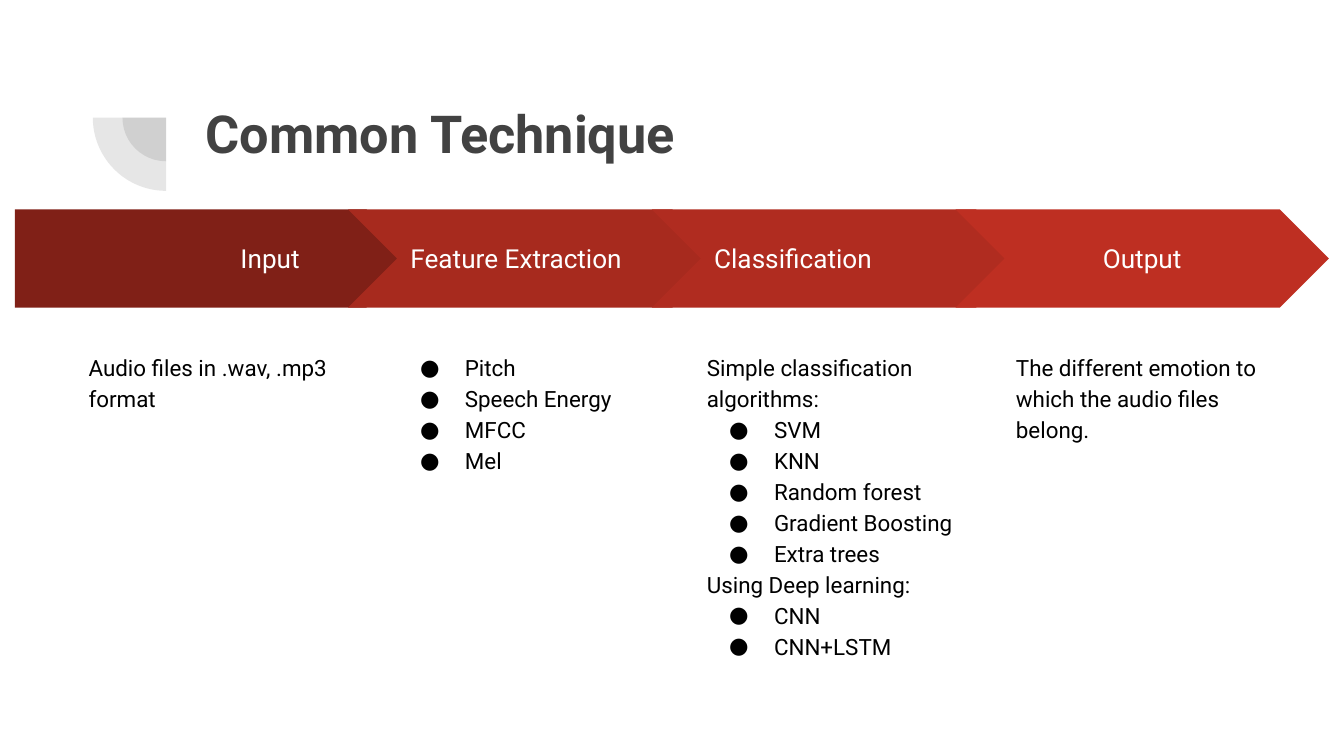
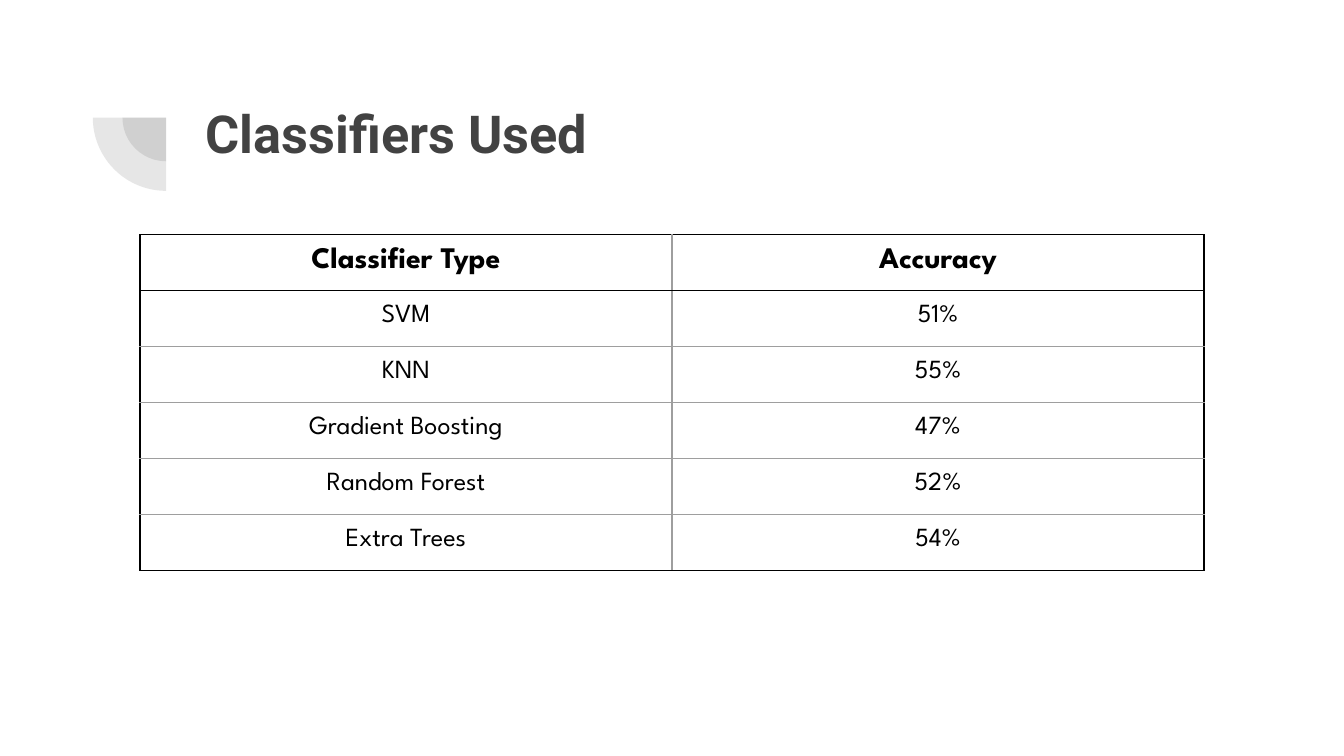
from lxml.etree import SubElement
from pptx import Presentation
from pptx.dml.color import RGBColor
from pptx.enum.shapes import MSO_SHAPE as Shape
from pptx.enum.text import MSO_ANCHOR as Anchor, MSO_AUTO_SIZE as AutoSize, PP_ALIGN as Align
from pptx.oxml.ns import qn
from pptx.util import Pt

COLORS = {
    "title": "424242", "text": "000000", "light": "FFFFFF", "grid": "9E9E9E",
    "input": "802017", "features": "A72A1E", "classify": "B02C20", "output": "BE2F22",
}
INSET = 7.2
BULLET = "● "

# label, colour, alignment, description
STEPS = [
    ("Input", "input", Align.CENTER, ["Audio files in .wav, .mp3 format"]),
    ("Feature Extraction", "features", Align.LEFT,
     ["● Pitch", "● Speech Energy", "● MFCC", "● Mel"]),
    ("Classification", "classify", Align.LEFT,
     ["Simple classification algorithms:", "● SVM", "● KNN", "● Random forest",
      "● Gradient Boosting", "● Extra trees", "Using Deep learning:", "● CNN", "● CNN+LSTM"]),
    ("Output", "output", Align.CENTER,
     ["The different emotion to which the audio files belong."]),
]
RESULTS = [
    ("Classifier Type", "Accuracy"), ("SVM", "51%"), ("KNN", "55%"),
    ("Gradient Boosting", "47%"), ("Random Forest", "52%"), ("Extra Trees", "54%"),
]


class SlideWriter:
    def __init__(self, deck):
        self.deck = deck
        self.page = None

    def new_page(self, title):
        self.page = self.deck.slides.add_slide(self.deck.slide_layouts[5])
        for size in (46.8, 78.5):
            self.quarter(89, 63, size)
        box = self.page.shapes.title
        box.left, box.top, box.width, box.height = Pt(103), Pt(46.8), Pt(553.7), Pt(78.5)
        frame = self.frame(box, Anchor.TOP)
        self.span(frame.paragraphs[0], title, 28, "title", bold=True)

    def frame(self, box, anchor):
        frame = box.text_frame
        frame.word_wrap = True
        frame.auto_size = AutoSize.NONE
        frame.vertical_anchor = anchor
        frame.margin_left = frame.margin_right = Pt(INSET)
        frame.margin_top = frame.margin_bottom = Pt(INSET)
        return frame

    def span(self, para, text, size, color, align=Align.LEFT, font="Roboto", bold=False):
        para.alignment = align
        span = para.add_run()
        span.text = text
        span.font.name = font
        span.font.size = Pt(size)
        span.font.bold = bold
        span.font.color.rgb = RGBColor.from_string(COLORS[color])

    def indent(self, para, left, first=0):
        props = para._p.get_or_add_pPr()
        props.set("marL", str(Pt(left)))
        props.set("indent", str(Pt(first)))
        return props

    def shape(self, kind, left, top, width, height, color):
        shape = self.page.shapes.add_shape(kind, Pt(left), Pt(top), Pt(width), Pt(height))
        shape.shadow.inherit = False
        shape.fill.solid()
        shape.fill.fore_color.rgb = RGBColor.from_string(COLORS[color])
        shape.line.fill.background()
        return shape

    def quarter(self, center_x, center_y, size):
        """Draw a translucent lower-left quarter of a disc."""
        pie = self.shape(Shape.PIE, center_x - size / 2, center_y - size / 2, size, size, "title")
        pie.rotation = 270
        pie.adjustments[0], pie.adjustments[1] = 108, 162
        color = pie._element.spPr.find(qn("a:solidFill"))[0]
        SubElement(color, qn("a:alpha"), val="13000")

    def arrow(self, kind, left, width, label, color, align, indent=0):
        arrow = self.shape(kind, left, 112.2, width, 52.6, color)
        arrow.adjustments[0] = 0.5
        para = self.frame(arrow, Anchor.MIDDLE).paragraphs[0]
        self.span(para, label, 14, "light", align)
        self.indent(para, indent)

    def description(self, left, lines):
        """Write lines in a column; those that start with a bullet become list items."""
        box = self.page.shapes.add_textbox(Pt(left), Pt(180.6), Pt(150), Pt(206))
        frame = self.frame(box, Anchor.TOP)
        for number, line in enumerate(lines):
            para = frame.add_paragraph() if number else frame.paragraphs[0]
            para.line_spacing = 1.15
            self.span(para, line.removeprefix(BULLET), 12, "text")
            if line.startswith(BULLET):
                props = self.indent(para, 36, -24)
                color = SubElement(props, qn("a:buClr"))
                SubElement(color, qn("a:srgbClr"), val=COLORS["text"])
                SubElement(props, qn("a:buFont"), typeface="Roboto")
                SubElement(props, qn("a:buChar"), char=BULLET.strip())

    def border(self, cell, side, color):
        line = SubElement(cell._tc.get_or_add_tcPr(), qn(f"a:ln{side}"), w=str(Pt(0.75)))
        fill = SubElement(line, qn("a:solidFill"))
        SubElement(fill, qn("a:srgbClr"), val=COLORS[color])

    def table(self, left, top, column_width, row_height, rows):
        last_row, last_column = len(rows) - 1, len(rows[0]) - 1
        table = self.page.shapes.add_table(
            len(rows), len(rows[0]), Pt(left), Pt(top),
            Pt(column_width * len(rows[0])), Pt(row_height * len(rows))).table
        table.first_row = table.horz_banding = False
        for column in table.columns:
            column.width = Pt(column_width)
        for r, row in enumerate(rows):
            table.rows[r].height = Pt(row_height)
            for c, text in enumerate(row):
                cell = table.cell(r, c)
                cell.margin_left = cell.margin_right = Pt(INSET)
                cell.margin_top = cell.margin_bottom = Pt(INSET)
                dark = {"L": c == 0, "R": c == last_column,
                        "T": r <= 1, "B": r in (0, last_row)}
                for side, is_dark in dark.items():
                    self.border(cell, side, "text" if is_dark else "grid")
                cell.fill.background()
                self.span(cell.text_frame.paragraphs[0], text, 14 if r else 16, "text",
                          Align.CENTER, "League Spartan", bold=r == 0)


def main():
    deck = Presentation()
    deck.slide_width, deck.slide_height = Pt(720), Pt(405)
    writer = SlideWriter(deck)

    writer.new_page("Common Technique")
    for number, (label, color, align, lines) in enumerate(STEPS):
        if number == 0:
            writer.arrow(Shape.PENTAGON, 8, 214.6, label, color, align, indent=72)
        else:
            writer.arrow(Shape.CHEVRON, 23.8 + 162.7 * number, 200, label, color, align)
        writer.description(40.4 + 165.6 * number, lines)

    writer.new_page("Classifiers Used")
    writer.table(75, 125.7, 285, 30, RESULTS)

    deck.save("out.pptx")


if __name__ == "__main__":
    main()
